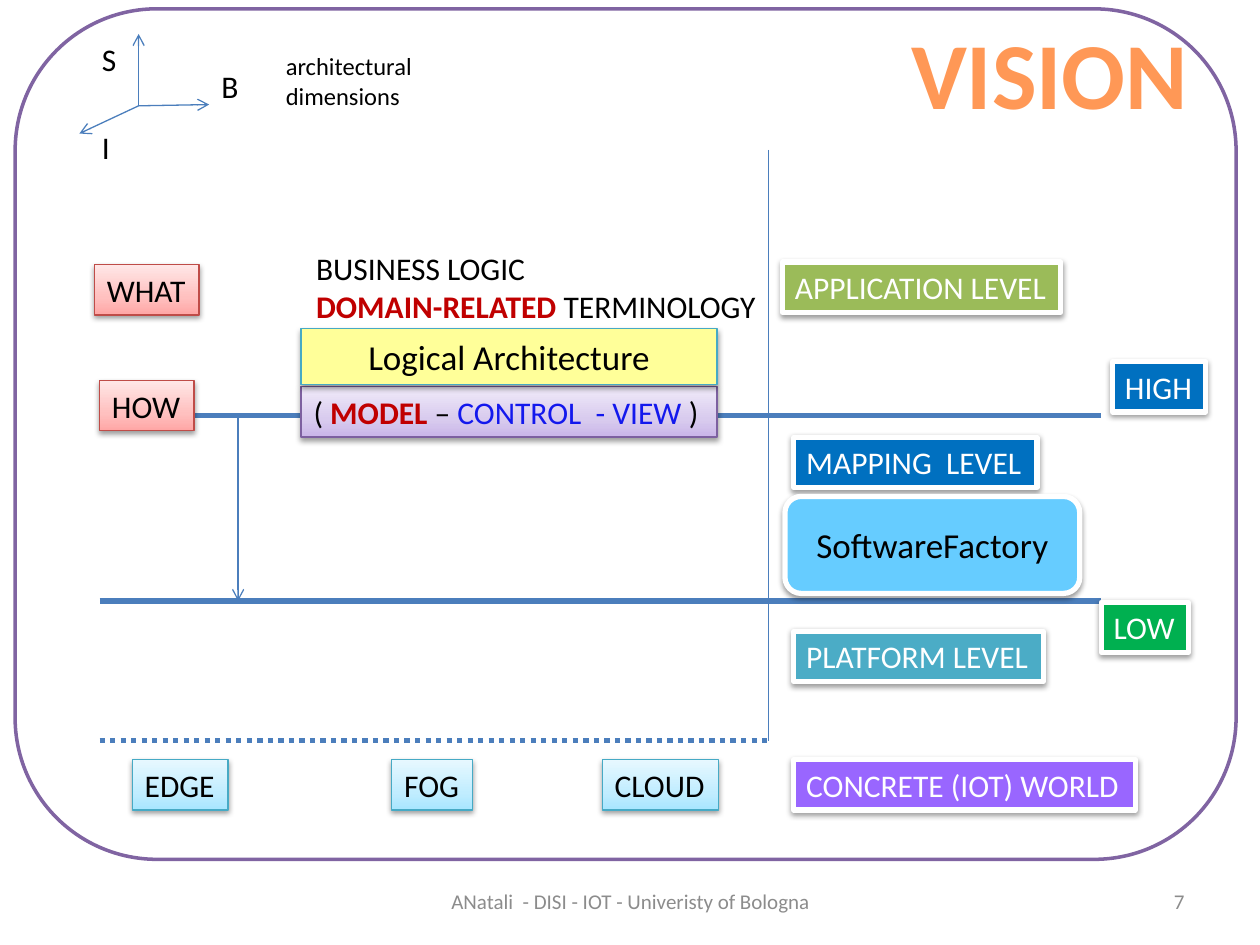
import pptx
from lxml import etree
from pptx.dml.color import RGBColor
from pptx.enum.dml import MSO_LINE
from pptx.enum.shapes import MSO_CONNECTOR, MSO_SHAPE
from pptx.enum.text import MSO_ANCHOR, MSO_AUTO_SIZE, PP_ALIGN
from pptx.oxml.ns import qn
from pptx.util import Inches, Pt

FONT = "Calibri"
BLACK, WHITE, RED, BLUE = "000000", "FFFFFF", "C00000", "1318ED"
RULE = "4B7EBC"
# Gradient stops (percent, colour), then the line colour
PINK = ([(0, "FFA6A5"), (35, "FFC0BF"), (100, "FFE7E7")], "BF4C48")
LILAC = ([(0, "C9B5E8"), (35, "D8CBEE"), (100, "F0EAF9")], "7D60A0")
AQUA = ([(0, "A7E6FF"), (35, "C1EDFF"), (100, "E7F8FF")], "46AAC5")
ORANGE = [(0, "9D4700"), (78, "FF9856"), (100, "FFF5F1")]


def rgb(color):
    return RGBColor.from_string(color)


def add(parent, tag, **attrs):
    child = etree.SubElement(parent, qn(tag))
    for name, value in attrs.items():
        child.set(name, str(value))
    return child


def set_fill(fill, props, color, angle=90):
    """Fill with one colour, or with gradient stops; props is the XML parent."""
    if isinstance(color, str):
        fill.solid()
        fill.fore_color.rgb = rgb(color)
        return
    fill.gradient()
    fill.gradient_angle = angle
    stops = props.find(qn("a:gradFill")).find(qn("a:gsLst"))
    for stop in list(stops):
        stops.remove(stop)
    for percent, value in color:
        add(add(stops, "a:gs", pos=percent * 1000), "a:srgbClr", val=value)


def add_shadow(shape):
    effects = add(shape._element.spPr, "a:effectLst")
    outer = add(effects, "a:outerShdw", blurRad=40000, dist=20000,
                dir=5400000, rotWithShape=0)
    add(add(outer, "a:srgbClr", val=BLACK), "a:alpha", val=38000)


def write(shape, lines, size=18, color=BLACK, align=PP_ALIGN.LEFT,
          anchor=MSO_ANCHOR.TOP, wrap=False, grow=True):
    """Each line is a string or a list of (text, colour, bold)."""
    tf = shape.text_frame
    tf.word_wrap = wrap
    tf.auto_size = MSO_AUTO_SIZE.SHAPE_TO_FIT_TEXT if grow else MSO_AUTO_SIZE.NONE
    tf.vertical_anchor = anchor
    for i, line in enumerate(lines):
        p = tf.add_paragraph() if i else tf.paragraphs[0]
        p.alignment = align
        p.font.size = Pt(size)
        p.font.name = FONT
        runs = [(line, color, False)] if isinstance(line, str) else line
        for text, run_color, bold in runs:
            r = p.add_run()
            r.text = text
            r.font.bold = bold
            set_fill(r.font.fill, r._r.get_or_add_rPr(), run_color, 270)


def add_text(s, x, y, w, h, *lines, **style):
    tb = s.shapes.add_textbox(Inches(x), Inches(y), Inches(w), Inches(h))
    write(tb, lines, **style)


def add_box(s, x, y, w, h, fill, line, weight, kind=MSO_SHAPE.RECTANGLE):
    sp = s.shapes.add_shape(kind, Inches(x), Inches(y), Inches(w), Inches(h))
    sp.shadow.inherit = False
    set_fill(sp.fill, sp._element.spPr, fill)
    sp.line.color.rgb = rgb(line)
    sp.line.width = Pt(weight)
    return sp


def add_tag(s, x, y, w, line, fill, edge=WHITE, weight=3, color=WHITE, h=0.4,
            kind=MSO_SHAPE.RECTANGLE, **style):
    """A shadowed box with a caption."""
    sp = add_box(s, x, y, w, h, fill, edge, weight, kind)
    sp._element.spPr.remove(sp._element.spPr.find(qn("a:effectLst")))
    add_shadow(sp)
    write(sp, [line], color=color, **style)


def add_line(s, x1, y1, x2, y2, weight=0.75, arrow=False, dash=None):
    c = s.shapes.add_connector(MSO_CONNECTOR.STRAIGHT, Inches(x1), Inches(y1),
                               Inches(x2), Inches(y2))
    c.line.color.rgb = rgb(RULE)
    c.line.width = Pt(weight)
    if dash:
        c.line.dash_style = dash
    if arrow:
        add(c.line._get_or_add_ln(), "a:tailEnd", type="arrow")
    add(c._element.spPr, "a:effectLst")


def add_frame_and_title(s):
    frame = add_box(s, 0.12, 0.07, 9.69, 6.75, WHITE, "8064A2", 2,
                    MSO_SHAPE.ROUNDED_RECTANGLE)
    s.shapes._spTree.insert(2, frame._element)  # behind the title
    title = s.shapes.title
    title.left, title.top = Inches(7.12), Inches(0.07)
    title.width, title.height = Inches(2.42), Inches(1.01)
    write(title, [[("VISION", ORANGE, True)]], size=54, align=PP_ALIGN.CENTER)


def add_footer(s, y):
    style = dict(size=12, color="8C8C8C", anchor=MSO_ANCHOR.MIDDLE,
                 wrap=True, grow=False)
    add_text(s, 3.42, y, 3.17, 0.4, "ANatali  - DISI - IOT - Univeristy of Bologna",
             align=PP_ALIGN.CENTER, **style)
    add_text(s, 7.17, y, 2.33, 0.4, "7", align=PP_ALIGN.RIGHT, **style)


def add_axes(s, x, y):
    """Three arrows from the origin (x, y), with their names."""
    for dx, dy in [(0, -0.57), (-0.47, 0.22), (0.56, -0.01)]:
        add_line(s, x, y, x + dx, y + dy, arrow=True)
    for name, dx, dy, w in [("S", -0.39, -0.57, 0.32), ("I", -0.39, 0.13, 0.27),
                            ("B", 0.56, -0.36, 0.34)]:
        add_text(s, x + dx, y + dy, w, 0.4, name)
    add_text(s, x + 1.07, y - 0.48, 1.26, 0.57, "architectural", "dimensions",
             size=14)


def add_grid(s, left, right, split, high, low, bottom):
    for y in (high, low):
        add_line(s, left, y, right, y, weight=3)
    add_line(s, left, bottom, split, bottom, weight=3, dash=MSO_LINE.ROUND_DOT)
    add_line(s, split, 1.19, split, bottom)
    add_line(s, left + 1.1, high, left + 1.1, low, arrow=True)


def add_questions(s):
    for text, x, y, w in [("WHAT", 0.75, 2.1, 0.83), ("HOW", 0.79, 3.02, 0.75)]:
        add_tag(s, x, y, w, text, *PINK, 0.75, BLACK)


def add_logic(s, x, y, w):
    add_text(s, x + 0.02, y, 3.72, 0.71, "BUSINESS LOGIC",
             [("DOMAIN-RELATED", RED, True), (" TERMINOLOGY", BLACK, False)])
    parts = [("( ", BLACK, False), ("MODEL", RED, True), (" – ", BLACK, False),
             ("CONTROL  - VIEW ", BLUE, False), (")", BLACK, False)]
    add_tag(s, x, y + 1.14, w, parts, *LILAC, 0.75)
    add_tag(s, x, y + 0.68, w, "Logical Architecture", "FFFF99", AQUA[1], 0.75,
            BLACK, h=0.44, size=20, align=PP_ALIGN.CENTER, wrap=True)


def add_levels(s, x):
    for text, dx, y, w, fill in [
            ("APPLICATION LEVEL", -0.09, 2.08, 2.21, "9BBB59"),
            ("MAPPING  LEVEL", 0, 3.47, 1.93, "0070C0"),
            ("PLATFORM LEVEL", 0, 5.01, 1.98, "4BACC6"),
            ("CONCRETE (IOT) WORLD", 0, 6.03, 2.71, "9966FF"),
            ("HIGH", 2.53, 2.87, 0.74, "0070C0"),
            ("LOW", 2.44, 4.78, 0.69, "00B050")]:
        add_tag(s, x + dx, y, w, text, fill)
    add_tag(s, x - 0.07, 3.94, 2.34, "SoftwareFactory", "66CCFF", color=BLACK,
            h=0.77, kind=MSO_SHAPE.ROUNDED_RECTANGLE, size=20, wrap=True,
            align=PP_ALIGN.CENTER, anchor=MSO_ANCHOR.MIDDLE, grow=False)


def add_places(s, y):
    for text, x, w in [("EDGE", 1.05, 0.76), ("FOG", 3.11, 0.64),
                       ("CLOUD", 4.78, 0.92)]:
        add_tag(s, x, y, w, text, *AQUA, 0.75, BLACK)


def main():
    prs = pptx.Presentation()
    prs.slide_width, prs.slide_height = Inches(10), Inches(7.5)
    s = prs.slides.add_slide(prs.slide_layouts[5])
    add_frame_and_title(s)
    add_footer(s, 6.95)
    add_axes(s, 1.1, 0.84)
    add_grid(s, 0.79, 8.74, 6.1, 3.3, 4.77, 5.88)
    add_questions(s)
    add_logic(s, 2.39, 1.93, 3.3)
    add_levels(s, 6.3)
    add_places(s, 6.03)
    prs.save("out.pptx")


if __name__ == "__main__":
    main()
